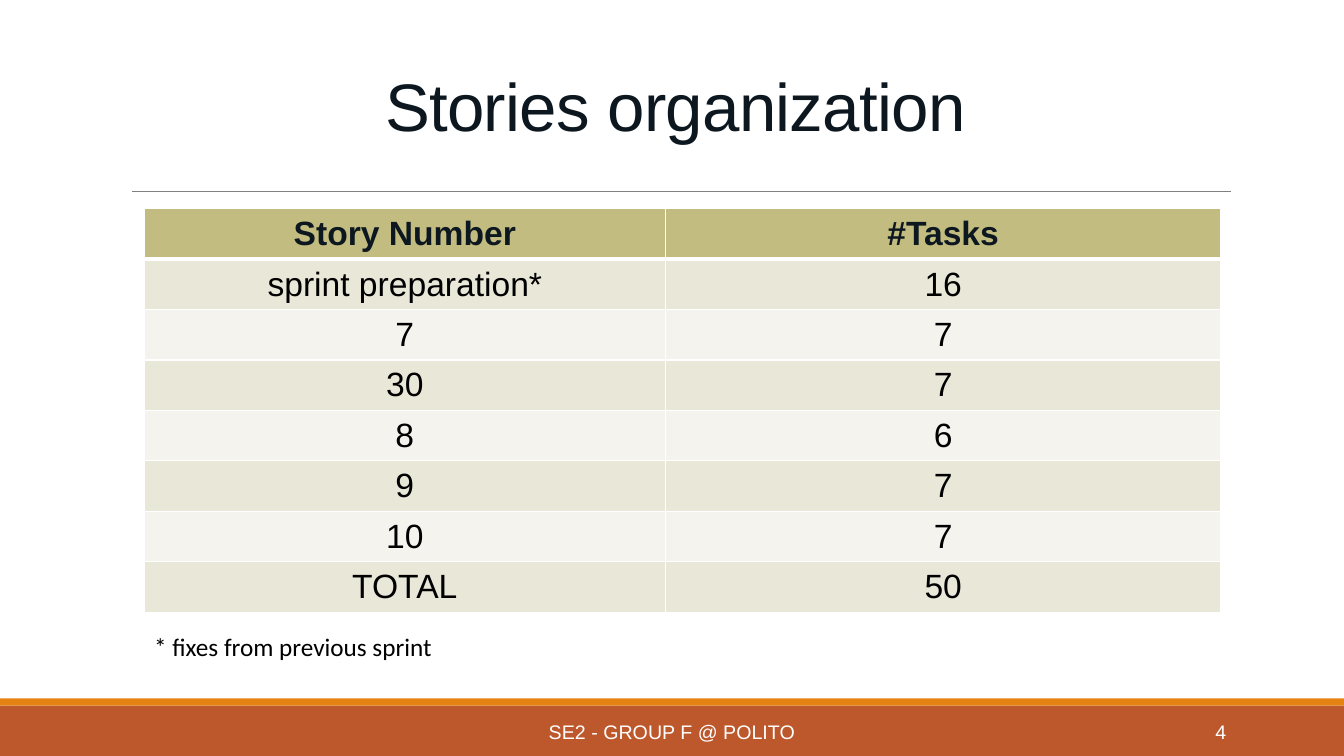
import pptx
import pptx.util
import pptx.dml.color
import pptx.enum.shapes
import pptx.enum.text
import pptx.oxml.ns
from lxml import etree

Inches = pptx.util.Inches
Pt = pptx.util.Pt
RGBColor = pptx.dml.color.RGBColor
Align = pptx.enum.text.PP_ALIGN
Anchor = pptx.enum.text.MSO_ANCHOR
qn = pptx.oxml.ns.qn

WHITE = RGBColor(0xFF, 0xFF, 0xFF)
BLACK = RGBColor(0, 0, 0)
NAVY = RGBColor(0x0D, 0x17, 0x1F)
GRAY = RGBColor(0x80, 0x80, 0x80)
RUST = RGBColor(0xBD, 0x58, 0x2C)
ORANGE = RGBColor(0xE4, 0x83, 0x12)
OLIVE = RGBColor(0xC2, 0xBC, 0x80)
SAND = RGBColor(0xE9, 0xE7, 0xD8)
CREAM = RGBColor(0xF4, 0xF3, 0xED)

STORIES = [
    ("Story Number", "#Tasks"),
    ("sprint preparation*", "16"),
    ("7", "7"),
    ("30", "7"),
    ("8", "6"),
    ("9", "7"),
    ("10", "7"),
    ("TOTAL", "50"),
]


class Painter:
    def __init__(self, slide, face="Arial"):
        self.slide = slide
        self.face = face

    def style(self, par, size, color, align, bold=False, face=None):
        par.alignment = align
        par.font.name = face or self.face
        par.font.size = Pt(size)
        par.font.bold = bold
        par.font.color.rgb = color

    def band(self, top, height, color):
        band = self.slide.shapes.add_shape(
            pptx.enum.shapes.MSO_SHAPE.RECTANGLE,
            0, Inches(top), Inches(13.33), Inches(height))
        band.shadow.inherit = False
        band.fill.solid()
        band.fill.fore_color.rgb = color
        band.line.fill.background()

    def rule(self, left, right, top):
        rule = self.slide.shapes.add_connector(
            pptx.enum.shapes.MSO_CONNECTOR.STRAIGHT,
            Inches(left), Inches(top), Inches(right), Inches(top))
        rule.line.color.rgb = GRAY
        rule.line.width = Pt(0.5)
        etree.SubElement(rule._element.spPr, qn("a:effectLst"))

    def text(self, words, left, top, width, height, size, color,
             align=Align.CENTER, anchor=Anchor.MIDDLE, face=None):
        box = self.slide.shapes.add_textbox(
            Inches(left), Inches(top), Inches(width), Inches(height))
        frame = box.text_frame
        frame.word_wrap = True
        frame.vertical_anchor = anchor
        par = frame.paragraphs[0]
        par.text = words
        self.style(par, size, color, align, face=face)
        return par

    def border(self, cell, row):
        top = 3 if row == 1 else 1
        low = 3 if row == 0 else 1
        for side, width in (("L", 1), ("R", 1), ("T", top), ("B", low)):
            edge = etree.SubElement(
                cell._tc.get_or_add_tcPr(), qn("a:ln" + side), w=str(Pt(width)))
            fill = etree.SubElement(edge, qn("a:solidFill"))
            etree.SubElement(fill, qn("a:srgbClr"), val=str(WHITE))

    def table(self, rows, left, top, widths, height):
        table = self.slide.shapes.add_table(
            len(rows), len(widths), Inches(left), Inches(top),
            Inches(sum(widths)), Inches(height * len(rows))).table
        for col, width in zip(table.columns, widths):
            col.width = Inches(width)
        for i, row in enumerate(rows):
            table.rows[i].height = Inches(height)
            for j, words in enumerate(row):
                cell = table.cell(i, j)
                self.border(cell, i)
                cell.fill.solid()
                cell.fill.fore_color.rgb = (
                    OLIVE if i == 0 else SAND if i % 2 else CREAM)
                cell.vertical_anchor = Anchor.MIDDLE
                par = cell.text_frame.paragraphs[0]
                par.text = words
                self.style(par, 24, BLACK if i else NAVY, Align.CENTER, i == 0)


def main():
    deck = pptx.Presentation()
    deck.slide_width = Inches(13.33)
    deck.slide_height = Inches(7.5)
    paint = Painter(deck.slides.add_slide(deck.slide_layouts[6]))

    paint.band(7, 0.5, RUST)
    paint.band(6.93, 0.07, ORANGE)
    paint.rule(1.31, 12.21, 1.9)

    title = paint.text("Stories organization", 1.2, 0.31, 11, 1.59, 48, NAVY)
    title.line_spacing = 0.85
    title.runs[0].font._element.set("spc", "-50")

    paint.table(STORIES, 1.43, 2.07, (5.17, 5.51), 0.48)
    paint.text("SE2 - GROUP F @ POLITO", 4.03, 7.06, 5.27, 0.4, 14, WHITE)
    paint.text("4", 10.83, 7.06, 1.43, 0.4, 14, WHITE, Align.RIGHT)
    paint.text("* fixes from previous sprint", 1.43, 6.21, 5.15, 0.4, 18,
               BLACK, Align.LEFT, Anchor.TOP, "Calibri")

    deck.save("out.pptx")


if __name__ == "__main__":
    main()
